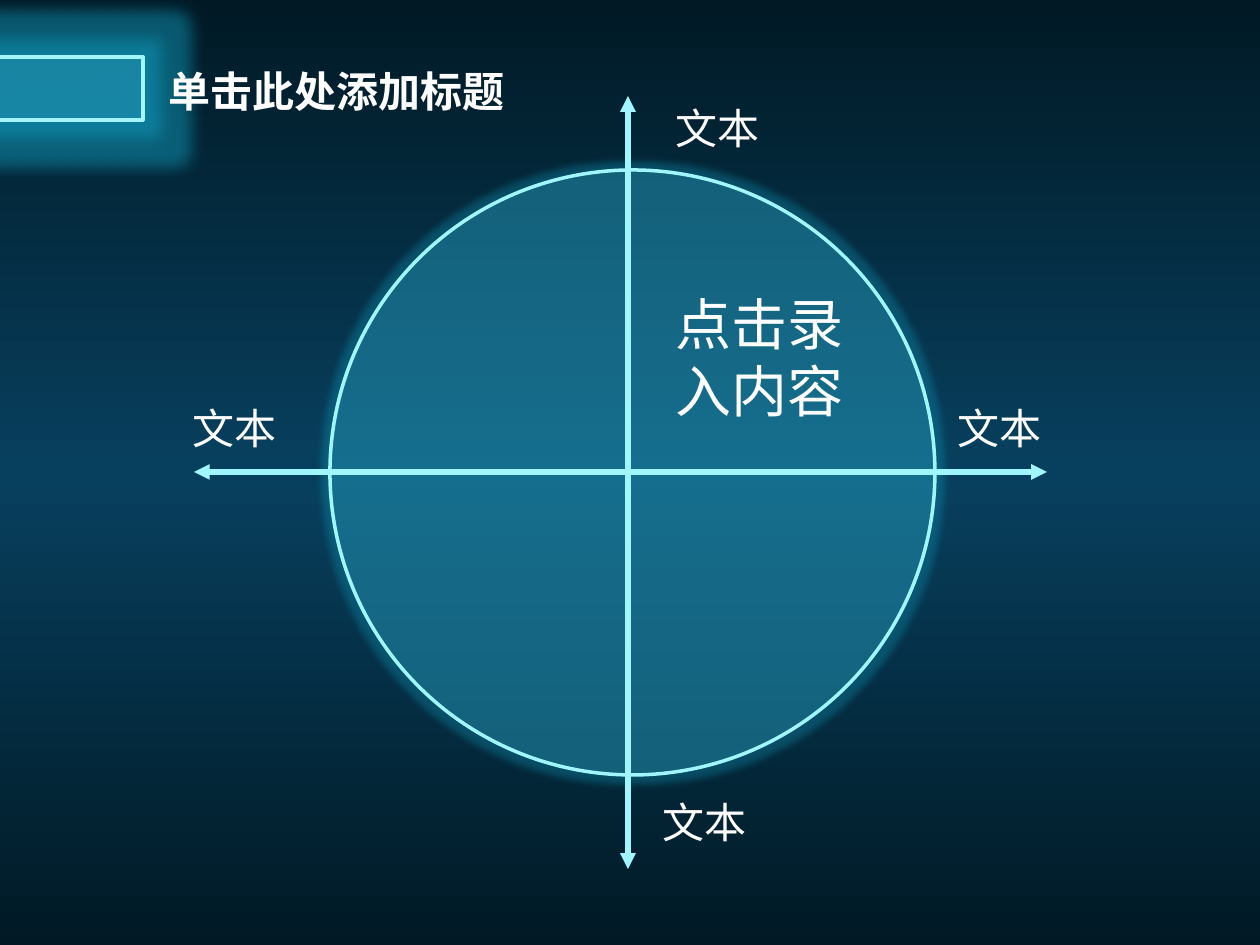
from copy import deepcopy
from lxml.etree import SubElement
from pptx import Presentation
from pptx.dml.color import RGBColor
from pptx.enum.shapes import MSO_CONNECTOR as Connector, MSO_SHAPE as Shape
from pptx.enum.text import MSO_ANCHOR as Anchor, PP_ALIGN as Align
from pptx.oxml.ns import qn
from pptx.util import Pt

# Content, in pixels
WIDTH, HEIGHT = 1260, 945
TITLE = ("单击此处添加标题", (156, 59, 602, 63))
CENTRE_TEXT = (["点击录", "入内容"], (662, 283, 195, 149))
LABEL_SIZE = (111, 63)
LABELS = [("文本", (179, 396)), ("文本", (662, 96)),
          ("文本", (944, 396)), ("文本", (649, 790))]
PANELS = [  # shape, box, glow radius in points, glow opacity in percent
    (Shape.RECTANGLE, (-5, 57, 148, 63), 18, 45),
    (Shape.OVAL, (330, 170, 605, 605), 8, 30),
]
AXES = [((194, 472), (1047, 472)), ((628, 96), (628, 869))]

# Style
FONT = "Noto Sans CJK SC"
WHITE = RGBColor(0xFF, 0xFF, 0xFF)
NIGHT = RGBColor(0x01, 0x19, 0x25)
OCEAN = RGBColor(0x07, 0x40, 0x5E)
AQUA = RGBColor(0x45, 0xB1, 0xD2)
GLOW = RGBColor(0x12, 0xA5, 0xC8)
ICE = RGBColor(0xA0, 0xF5, 0xFF)
SCALE = 914400 // 126


def emu(lengths):
    return [round(length * SCALE) for length in lengths]


def write(box, lines, size=24, bold=False, align=Align.CENTER, wrap=False,
          anchor=Anchor.TOP):
    frame = box.text_frame
    frame.word_wrap = wrap
    frame.vertical_anchor = anchor
    for index, line in enumerate(lines):
        para = frame.add_paragraph() if index else frame.paragraphs[0]
        para.alignment = align
        span = para.add_run()
        span.text = line
        font = span.font
        font.size, font.bold, font.name = Pt(size), bold, FONT
        font.color.rgb = WHITE
        SubElement(font.fill._xPr, qn("a:ea"), typeface=FONT)


def add_alpha(colour, percent):
    SubElement(colour, qn("a:alpha"), val=str(percent * 1000))


deck = Presentation()
deck.slide_width, deck.slide_height = emu((WIDTH, HEIGHT))
page = deck.slides.add_slide(deck.slide_layouts[5])
shapes = page.shapes

# Backdrop with a three-stop vertical gradient
backdrop = shapes.add_shape(Shape.RECTANGLE, *emu((0, 0, WIDTH, HEIGHT)))
backdrop.shadow.inherit = False
backdrop.line.fill.background()
backdrop.fill.gradient()
backdrop.fill.gradient_angle = 90
first_stop = next(backdrop.element.iter(qn("a:gs")))
first_stop.addnext(deepcopy(first_stop))
for stop, place, colour in zip(backdrop.fill.gradient_stops, (0, 0.5, 1),
                               (NIGHT, OCEAN, NIGHT)):
    stop.position = place
    stop.color.rgb = colour

# Glowing translucent panels
for kind, box, radius, opacity in PANELS:
    panel = shapes.add_shape(kind, *emu(box))
    panel.shadow.inherit = False
    panel.fill.solid()
    panel.fill.fore_color.rgb = AQUA
    panel.line.color.rgb = ICE
    panel.line.width = Pt(2)
    properties = panel.element.spPr
    add_alpha(properties.find(qn("a:solidFill"))[0], 20)
    glow = SubElement(properties.find(qn("a:effectLst")), qn("a:glow"),
                      rad=str(Pt(radius)))
    add_alpha(SubElement(glow, qn("a:srgbClr"), val=str(GLOW)), opacity)

# Double-headed axes
for start, end in AXES:
    axis = shapes.add_connector(Connector.STRAIGHT, *emu(start + end))
    axis.line.color.rgb = ICE
    axis.line.width = Pt(3)
    properties = axis.element.spPr
    for tip in ("a:headEnd", "a:tailEnd"):
        SubElement(properties.find(qn("a:ln")), qn(tip), type="triangle")
    SubElement(properties, qn("a:effectLst"))

# Title, raised above the backdrop
text, box = TITLE
title = shapes.title
title.left, title.top, title.width, title.height = emu(box)
write(title, [text], bold=True, align=Align.LEFT, wrap=True,
      anchor=Anchor.MIDDLE)
shapes.element.append(title.element)

# Circle text and axis labels
lines, box = CENTRE_TEXT
write(shapes.add_textbox(*emu(box)), lines, size=32)
for text, corner in LABELS:
    write(shapes.add_textbox(*emu(corner + LABEL_SIZE)), [text])

deck.save("out.pptx")
